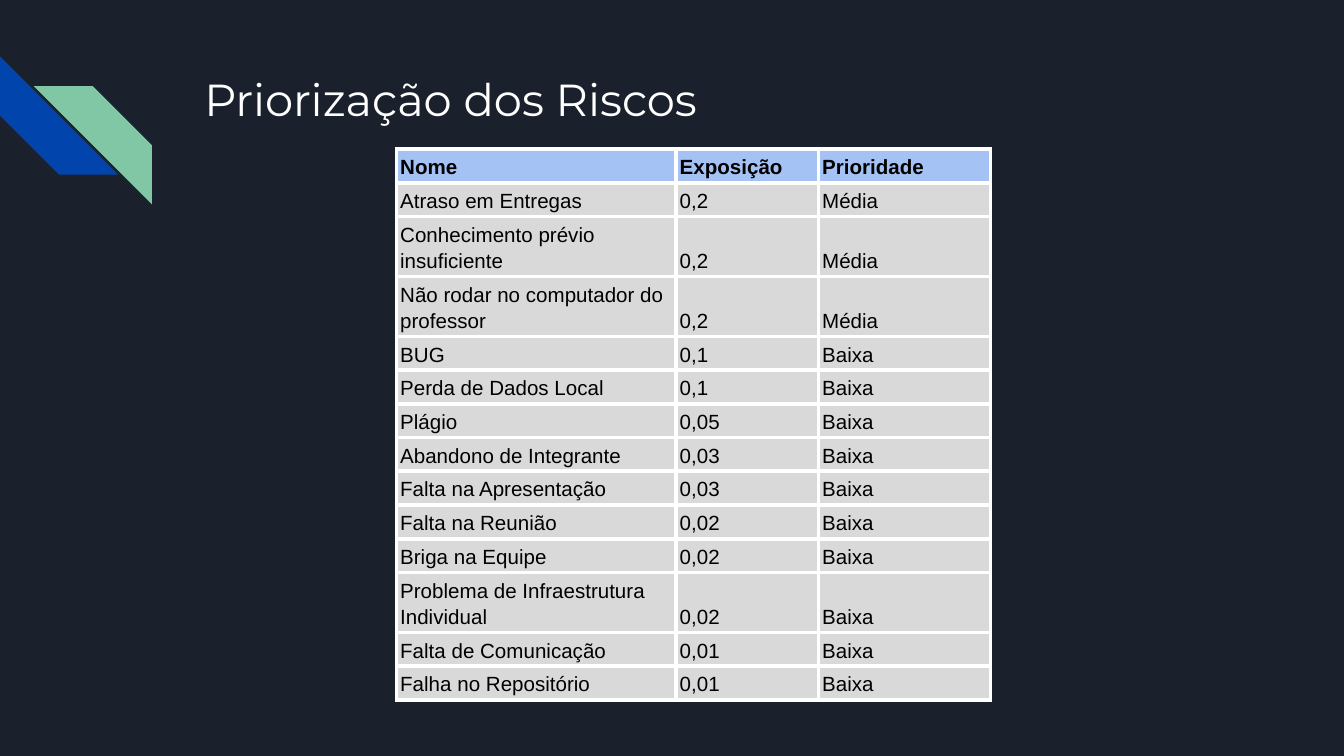
from lxml.etree import SubElement
from pptx import Presentation
from pptx.dml.color import RGBColor
from pptx.enum.shapes import MSO_SHAPE
from pptx.enum.text import MSO_ANCHOR, PP_ALIGN
from pptx.oxml.ns import qn
from pptx.util import Inches, Pt

NAVY = RGBColor(0x1B, 0x21, 0x2C)
BLUE = RGBColor(0x01, 0x45, 0xAC)
GREEN = RGBColor(0x82, 0xC7, 0xA5)
WHITE = RGBColor(0xFF, 0xFF, 0xFF)
BLACK = RGBColor(0x00, 0x00, 0x00)
HEADER_BLUE = RGBColor(0xA4, 0xC2, 0xF4)
GREY = RGBColor(0xD9, 0xD9, 0xD9)

HEADER = ("Nome", "Exposição", "Prioridade")
RISKS = [
    ("Atraso em Entregas", "0,2", "Média"),
    ("Conhecimento prévio insuficiente", "0,2", "Média"),
    ("Não rodar no computador do professor", "0,2", "Média"),
    ("BUG", "0,1", "Baixa"),
    ("Perda de Dados Local", "0,1", "Baixa"),
    ("Plágio", "0,05", "Baixa"),
    ("Abandono de Integrante", "0,03", "Baixa"),
    ("Falta na Apresentação", "0,03", "Baixa"),
    ("Falta na Reunião", "0,02", "Baixa"),
    ("Briga na Equipe", "0,02", "Baixa"),
    ("Problema de Infraestrutura Individual", "0,02", "Baixa"),
    ("Falta de Comunicação", "0,01", "Baixa"),
    ("Falha no Repositório", "0,01", "Baixa"),
]
COLUMN_WIDTHS = (2.08, 1.06, 1.28)
LINE_CHARS = 30  # longer names wrap onto a second line
ROW_HEIGHT, TALL_ROW_HEIGHT = 0.25, 0.44
CELL_MARGIN = Pt(2)


def write(p, text, *, size, color, font, bold=False, spacing=1.0):
    p.alignment = PP_ALIGN.LEFT
    p.line_spacing = spacing
    r = p.add_run()
    r.text = text
    r.font.size = Pt(size)
    r.font.name = font
    r.font.bold = bold
    r.font.color.rgb = color


def set_borders(cell, color, width):
    tcPr = cell._tc.get_or_add_tcPr()
    for side in ("a:lnL", "a:lnR", "a:lnT", "a:lnB"):
        ln = SubElement(tcPr, qn(side), w=str(Pt(width)))
        fill = SubElement(ln, qn("a:solidFill"))
        SubElement(fill, qn("a:srgbClr"), val=str(color))


class SlideBuilder:
    title_font = "Montserrat"
    body_font = "Arial"

    def __init__(self, prs):
        self.s = prs.slides.add_slide(prs.slide_layouts[5])
        self.s.background.fill.solid()
        self.s.background.fill.fore_color.rgb = NAVY

    def title(self, text, left, top, width, height):
        sp = self.s.shapes.title
        sp.left, sp.top = Inches(left), Inches(top)
        sp.width, sp.height = Inches(width), Inches(height)
        tf = sp.text_frame
        tf.word_wrap = True
        tf.vertical_anchor = MSO_ANCHOR.TOP
        tf.margin_left = tf.margin_right = Inches(0.1)
        tf.margin_top = tf.margin_bottom = Inches(0.1)
        write(tf.paragraphs[0], text, size=24, color=WHITE,
              font=self.title_font)

    def stripe(self, left, top, size, color, rotation=0, flip=False):
        sp = self.s.shapes.add_shape(MSO_SHAPE.DIAGONAL_STRIPE, Inches(left),
                                     Inches(top), Inches(size), Inches(size))
        sp.adjustments[0] = 0.5
        sp.rotation = rotation
        if flip:
            sp._element.spPr.find(qn("a:xfrm")).set("flipH", "1")
        sp.fill.solid()
        sp.fill.fore_color.rgb = color
        sp.line.fill.background()
        sp.shadow.inherit = False

    def table(self, rows, left, top):
        heights = [TALL_ROW_HEIGHT if len(row[0]) > LINE_CHARS else ROW_HEIGHT
                   for row in rows]
        table = self.s.shapes.add_table(
            len(rows), len(COLUMN_WIDTHS), Inches(left), Inches(top),
            Inches(sum(COLUMN_WIDTHS)), Inches(sum(heights))).table
        for column, width in zip(table.columns, COLUMN_WIDTHS):
            column.width = Inches(width)
        for i, (row, height) in enumerate(zip(rows, heights)):
            table.rows[i].height = Inches(height)
            for j, text in enumerate(row):
                self.cell(table.cell(i, j), text, is_header=i == 0)

    def cell(self, cell, text, is_header):
        cell.vertical_anchor = MSO_ANCHOR.BOTTOM
        cell.margin_left = cell.margin_right = CELL_MARGIN
        cell.margin_top = cell.margin_bottom = CELL_MARGIN
        write(cell.text_frame.paragraphs[0], text, size=11, color=BLACK,
              font=self.body_font, bold=is_header, spacing=1.15)
        set_borders(cell, WHITE, 2.25)
        cell.fill.solid()
        cell.fill.fore_color.rgb = HEADER_BLUE if is_header else GREY


def main():
    prs = Presentation()
    prs.slide_width = Inches(10)
    prs.slide_height = prs.slide_width * 9 // 16
    slide = SlideBuilder(prs)
    slide.stripe(0, 0.42, 0.88, BLUE, rotation=270)
    slide.stripe(0.25, 0.64, 0.88, GREEN, flip=True)
    slide.title("Priorização dos Riscos", 1.42, 0.43, 7.7, 1)
    slide.table([HEADER, *RISKS], 2.95, 1.11)
    prs.save("out.pptx")


if __name__ == "__main__":
    main()
